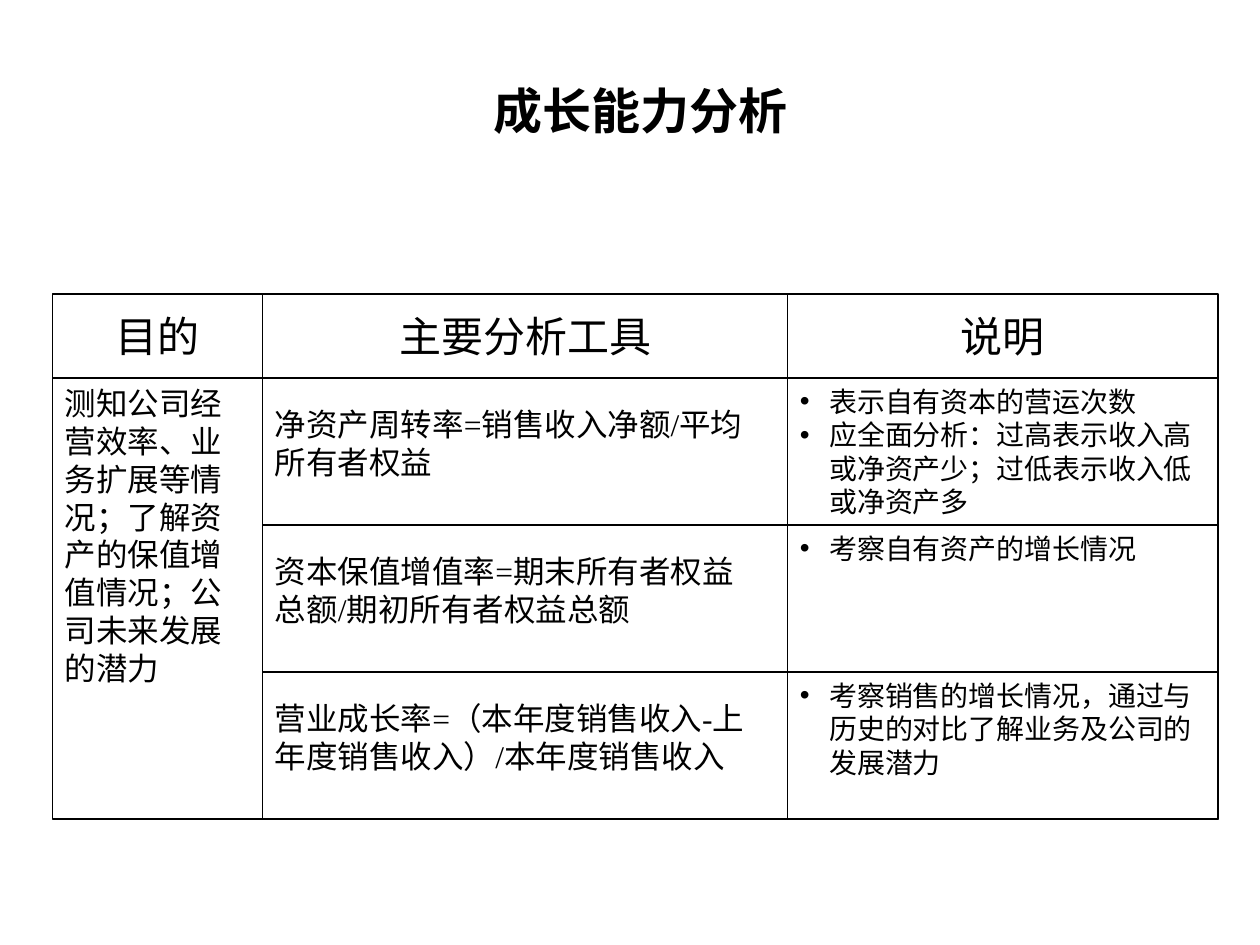
from dataclasses import dataclass

from lxml import etree
from pptx import Presentation
from pptx import util as u
from pptx.dml.color import RGBColor
from pptx.enum import shapes, text
from pptx.oxml.ns import qn

SCALE = 7620


@dataclass(frozen=True)
class Theme:
    ink: RGBColor = RGBColor(0, 0, 0)
    font: str = "Times New Roman"
    title: int = 28
    head: int = 24
    body: int = 18
    note: int = 16
    line: float = 0.75
    hang: int = 28


def px(n):
    return u.Emu(n * SCALE)


def bullet(para, theme):
    props = para._p.get_or_add_pPr()
    props.set("marL", str(px(theme.hang)))
    props.set("indent", str(-px(theme.hang)))
    color = etree.SubElement(props, qn("a:buClr"))
    etree.SubElement(color, qn("a:srgbClr"), val=str(theme.ink))
    etree.SubElement(props, qn("a:buFont"), typeface="Arial")
    etree.SubElement(props, qn("a:buChar"), char="•")


def write(frame, lines, theme, size, bold=False, center=False, middle=False,
          wrap=True, list_=False):
    frame.word_wrap = wrap
    frame.auto_size = text.MSO_AUTO_SIZE.NONE
    frame.vertical_anchor = text.MSO_ANCHOR.MIDDLE if middle else text.MSO_ANCHOR.TOP
    for i, line in enumerate(lines):
        para = frame.paragraphs[0] if i == 0 else frame.add_paragraph()
        para.alignment = text.PP_ALIGN.CENTER if center else text.PP_ALIGN.LEFT
        if list_:
            bullet(para, theme)
        run = para.add_run()
        run.text = line
        font = run.font
        font.name, font.size, font.bold = theme.font, u.Pt(size), bold
        font.color.rgb = theme.ink


class Page:
    def __init__(self, slide, theme):
        self.slide, self.theme = slide, theme

    def title(self, line, x, y, w, h):
        box = self.slide.shapes.title
        box.left, box.top, box.width, box.height = map(px, (x, y, w, h))
        write(box.text_frame, [line], self.theme, self.theme.title,
              bold=True, center=True, middle=True)

    def cell(self, x, y, w, h, lines=(), size=None, **form):
        box = self.slide.shapes.add_shape(
            shapes.MSO_SHAPE.RECTANGLE, *map(px, (x, y, w, h)))
        box.shadow.inherit = False
        box.fill.background()
        box.line.color.rgb = self.theme.ink
        box.line.width = u.Pt(self.theme.line)
        write(box.text_frame, lines, self.theme, size, **form)

    def label(self, x, y, w, h, line):
        box = self.slide.shapes.add_textbox(*map(px, (x, y, w, h)))
        write(box.text_frame, [line], self.theme, self.theme.body)
        box.text_frame.auto_size = text.MSO_AUTO_SIZE.SHAPE_TO_FIT_TEXT

    def rule(self, x, y, end):
        line = self.slide.shapes.add_connector(
            shapes.MSO_CONNECTOR.STRAIGHT, *map(px, (x, y, end, y)))
        line.line.color.rgb = self.theme.ink
        line.line.width = u.Pt(self.theme.line)
        etree.SubElement(line._element.spPr, qn("a:effectLst"))


HEADS = [(50, 200, "目的"), (250, 500, "主要分析工具"), (750, 410, "说明")]
GOAL = "测知公司经营效率、业务扩展等情况；了解资产的保值增值情况；公司未来发展的潜力"
ROWS = [
    ("净资产周转率=销售收入净额/平均所有者权益", 84,
     ["表示自有资本的营运次数",
      "应全面分析：过高表示收入高或净资产少；过低表示收入低或净资产多"]),
    ("资本保值增值率=期末所有者权益总额/期初所有者权益总额", 84,
     ["考察自有资产的增长情况"]),
    ("营业成长率=（本年度销售收入-上年度销售收入）/本年度销售收入", 120,
     ["考察销售的增长情况，通过与历史的对比了解业务及公司的发展潜力"]),
]
TOP, HEAD, ROW = 280, 80, 140


def main():
    theme = Theme()
    deck = Presentation()
    deck.slide_width, deck.slide_height = px(1200), px(900)
    page = Page(deck.slides.add_slide(deck.slide_layouts[5]), theme)
    page.title("成长能力分析", 100, 70, 1020, 70)

    body = TOP + HEAD
    for x, w, name in HEADS:
        page.cell(x, TOP, w, HEAD, [name], theme.head,
                  center=True, middle=True, wrap=False)
        page.cell(x, body, w, ROW * len(ROWS),
                  [GOAL] if name == "目的" else [], theme.body)

    tool, (note, wide, _) = HEADS[1][0], HEADS[2]
    for i, (ratio, high, notes) in enumerate(ROWS):
        y = body + i * ROW
        page.rule(tool, y + ROW, note + wide)
        page.label(tool, y + 20, 490, high, ratio)
        page.cell(note, y, wide, ROW, notes, theme.note, list_=True)

    deck.save("out.pptx")


if __name__ == "__main__":
    main()
